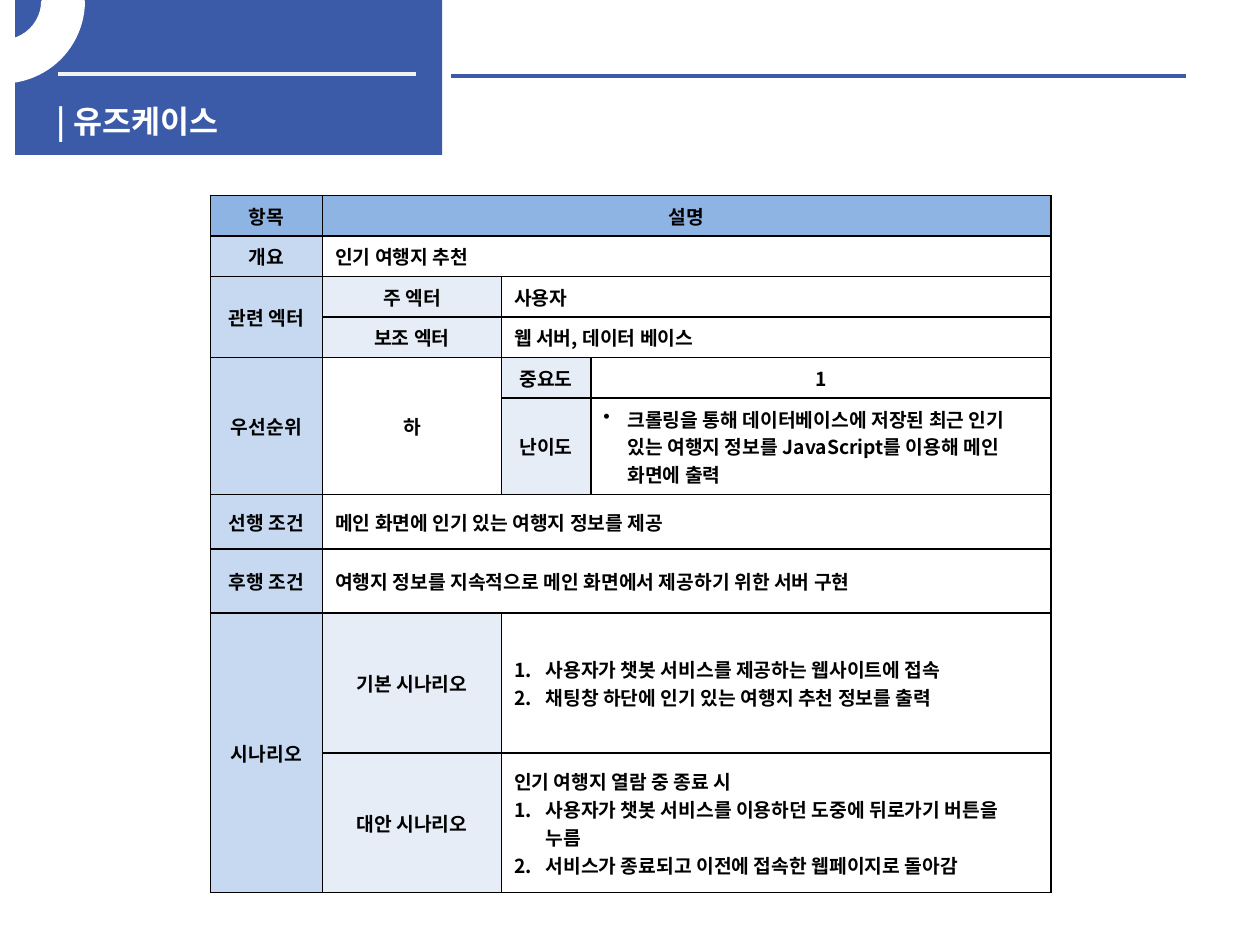
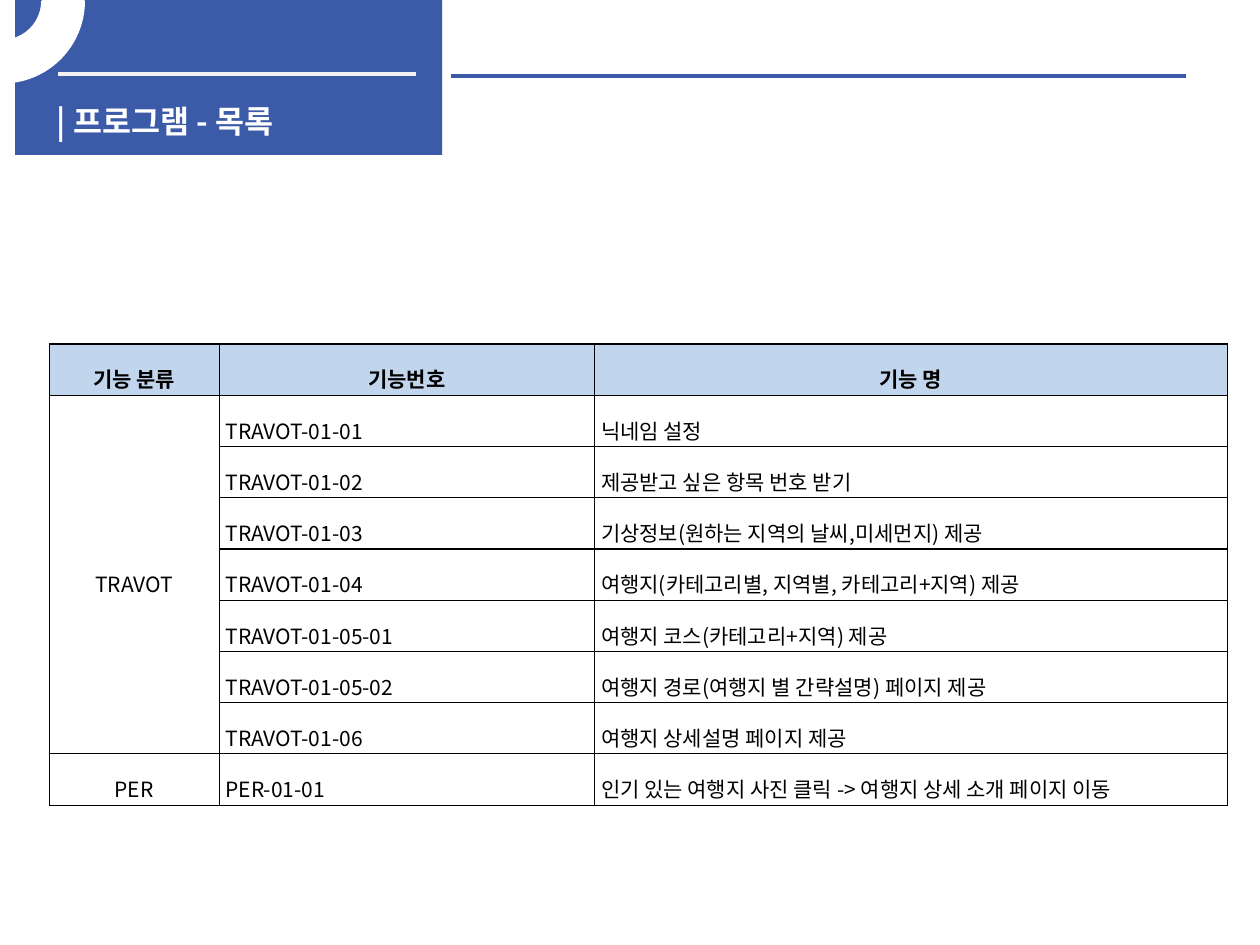
from lxml.etree import SubElement
from pptx import Presentation
from pptx.dml.color import RGBColor
from pptx.enum.shapes import MSO_CONNECTOR, MSO_SHAPE
from pptx.enum.text import MSO_ANCHOR, MSO_AUTO_SIZE, PP_ALIGN
from pptx.oxml.ns import qn
from pptx.util import Inches, Pt

# Content: each cell is (row, column, rows spanned, columns spanned, style, lines);
# a line is a string, or a pair of list mark and string
USE_CASE_TITLE = "| 유즈케이스"
USE_CASE_CELLS = [
    (0, 0, 1, 1, "head", ["항목"]),
    (0, 1, 1, 3, "head", ["설명"]),
    (1, 0, 1, 1, "label", ["개요"]),
    (1, 1, 1, 3, "text", ["인기 여행지 추천"]),
    (2, 0, 2, 1, "label", ["관련 엑터"]),
    (2, 1, 1, 1, "sublabel", ["주 엑터"]),
    (2, 2, 1, 2, "text", ["사용자"]),
    (3, 1, 1, 1, "sublabel", ["보조 엑터"]),
    (3, 2, 1, 2, "text", ["웹 서버, 데이터 베이스"]),
    (4, 0, 2, 1, "label", ["우선순위"]),
    (4, 1, 2, 1, "value", ["하"]),
    (4, 2, 1, 1, "sublabel", ["중요도"]),
    (4, 3, 1, 1, "value", ["1"]),
    (5, 2, 1, 1, "sublabel", ["난이도"]),
    (5, 3, 1, 1, "text", [
        ("bullet", "크롤링을 통해 데이터베이스에 저장된 최근 인기 있는 여행지 정보를 "
                   "JavaScript를 이용해 메인 화면에 출력")]),
    (6, 0, 1, 1, "label", ["선행 조건"]),
    (6, 1, 1, 3, "text", ["메인 화면에 인기 있는 여행지 정보를 제공"]),
    (7, 0, 1, 1, "label", ["후행 조건"]),
    (7, 1, 1, 3, "text", ["여행지 정보를 지속적으로 메인 화면에서 제공하기 위한 서버 구현"]),
    (8, 0, 2, 1, "label", ["시나리오"]),
    (8, 1, 1, 1, "sublabel", ["기본 시나리오"]),
    (8, 2, 1, 2, "text", [
        ("number", "사용자가 챗봇 서비스를 제공하는 웹사이트에 접속"),
        ("number", "채팅창 하단에 인기 있는 여행지 추천 정보를 출력")]),
    (9, 1, 1, 1, "sublabel", ["대안 시나리오"]),
    (9, 2, 1, 2, "text", [
        "인기 여행지 열람 중 종료 시",
        ("number", "사용자가 챗봇 서비스를 이용하던 도중에 뒤로가기 버튼을 누름"),
        ("number", "서비스가 종료되고 이전에 접속한 웹페이지로 돌아감")]),
]

PROGRAM_TITLE = "| 프로그램 - 목록"
PROGRAM_HEADINGS = ["기능 분류", "기능번호", "기능 명"]
PROGRAM_GROUPS = [
    ("TRAVOT", [
        ("TRAVOT-01-01", "닉네임 설정"),
        ("TRAVOT-01-02", "제공받고 싶은 항목 번호 받기"),
        ("TRAVOT-01-03", "기상정보(원하는 지역의 날씨,미세먼지) 제공"),
        ("TRAVOT-01-04", "여행지(카테고리별, 지역별, 카테고리+지역) 제공"),
        ("TRAVOT-01-05-01", "여행지 코스(카테고리+지역) 제공"),
        ("TRAVOT-01-05-02", "여행지 경로(여행지 별 간략설명) 페이지 제공"),
        ("TRAVOT-01-06", "여행지 상세설명 페이지 제공"),
    ]),
    ("PER", [("PER-01-01", "인기 있는 여행지 사진 클릭 -> 여행지 상세 소개 페이지 이동")]),
]

# Shared look
FONT = "Noto Sans CJK KR"
COLORS = {"band": "3B5AA8", "rule": "F2F2F2", "white": "FFFFFF", "ink": "000000",
          "head": "8EB4E3", "label": "C6D9F1", "sublabel": "E6EDF6", "listing": "C1D6ED"}
# Cell style: fill, alignment, bold
STYLES = {
    "head": ("head", PP_ALIGN.CENTER, True),
    "label": ("label", PP_ALIGN.CENTER, True),
    "sublabel": ("sublabel", PP_ALIGN.CENTER, True),
    "value": (None, PP_ALIGN.CENTER, True),
    "text": (None, PP_ALIGN.LEFT, True),
    "heading": ("listing", PP_ALIGN.CENTER, True),
    "group": (None, PP_ALIGN.CENTER, False),
    "entry": (None, PP_ALIGN.JUSTIFY, False),
}
# List mark: hanging indent, bullet element, its attributes
MARKS = {
    "bullet": (0.19, "a:buChar", {"char": "•"}),
    "number": (0.25, "a:buAutoNum", {"type": "arabicPeriod"}),
}


def color(name):
    return RGBColor.from_string(COLORS[name])


def format_runs(para, size, ink, bold):
    for span in para.runs:
        span.font.size, span.font.bold, span.font.name = Pt(size), bold, FONT
        span.font.color.rgb = color(ink)
        SubElement(span.font._element, qn("a:ea"), typeface=FONT)


def add_block(slide, kind, place, fill):
    block = slide.shapes.add_shape(kind, *map(Inches, place))
    block.shadow.inherit = False
    block.fill.solid()
    block.fill.fore_color.rgb = color(fill)
    block.line.fill.background()
    return block


def add_rule(slide, left, right, top, ink):
    rule = slide.shapes.add_connector(
        MSO_CONNECTOR.STRAIGHT, *map(Inches, (left, top, right, top)))
    rule.line.color.rgb = color(ink)
    rule.line.width = Pt(2.25)
    SubElement(rule.element.spPr, qn("a:effectLst"))


def add_page(deck, heading):
    page = deck.slides.add_slide(deck.slide_layouts[5])
    # Title band with rules
    add_block(page, MSO_SHAPE.RECTANGLE, (0.12, 0, 3.39, 1.23), "band")
    add_rule(page, 0.46, 3.3, 0.59, "rule")
    add_rule(page, 3.58, 9.41, 0.6, "band")
    # Title, brought in front of the band
    title = page.shapes.title
    page.shapes.element.append(title.element)
    title.left, title.top, title.width, title.height = map(Inches, (0.35, 0.76, 3.23, 0.3))
    frame = title.text_frame
    frame.text = heading
    frame.word_wrap = True
    frame.auto_size = MSO_AUTO_SIZE.NONE
    frame.vertical_anchor = MSO_ANCHOR.TOP
    frame.paragraphs[0].alignment = PP_ALIGN.LEFT
    format_runs(frame.paragraphs[0], 18, "white", True)
    # Ring in the corner
    ring = add_block(page, MSO_SHAPE.BLOCK_ARC, (-0.63, -0.63, 1.29, 1.28), "white")
    for index, value in enumerate((161.59, 0, 0.25)):
        ring.adjustments[index] = value
    ring.element.spPr.xfrm.set("flipV", "1")
    ring.line.color.rgb = color("white")
    ring.line.width = Pt(2)
    return page


def add_borders(cell, width):
    properties = cell._tc.get_or_add_tcPr()
    for side in ("a:lnL", "a:lnR", "a:lnT", "a:lnB"):
        line = SubElement(properties, qn(side), w=str(Pt(width)))
        fill = SubElement(line, qn("a:solidFill"))
        SubElement(fill, qn("a:srgbClr"), val=COLORS["ink"])


def add_mark(para, mark):
    indent, tag, attributes = MARKS[mark]
    properties = para._p.get_or_add_pPr()
    properties.set("marL", str(Inches(indent)))
    properties.set("indent", str(-Inches(indent)))
    SubElement(properties, qn(tag), attributes)


def fill_cell(cell, style, lines, size, spacing):
    fill, alignment, bold = STYLES[style]
    if fill:
        cell.fill.solid()
        cell.fill.fore_color.rgb = color(fill)
    cell.vertical_anchor = MSO_ANCHOR.MIDDLE
    for index, line in enumerate(lines):
        mark, text = (None, line) if isinstance(line, str) else line
        frame = cell.text_frame
        para = frame.add_paragraph() if index else frame.paragraphs[0]
        para.text = text
        para.alignment = alignment
        if spacing:
            para.line_spacing = spacing
        if mark:
            add_mark(para, mark)
        format_runs(para, size, "ink", bold)


def add_grid(page, left, top, widths, heights, cells, size, border,
             spacing=None, margins=(0.1, 0.05)):
    frame = page.shapes.add_table(
        len(heights), len(widths),
        *map(Inches, (left, top, sum(widths), sum(heights))))
    table = frame.table
    table.first_row = table.horz_banding = False
    for column, width in zip(table.columns, widths):
        column.width = Inches(width)
    for row, height in zip(table.rows, heights):
        row.height = Inches(height)
    for cell in table.iter_cells():
        add_borders(cell, border)
        cell.fill.background()
        cell.margin_left = cell.margin_right = Inches(margins[0])
        cell.margin_top = cell.margin_bottom = Inches(margins[1])
    for row, column, tall, wide, style, lines in cells:
        cell = table.cell(row, column)
        if tall * wide > 1:
            cell.merge(table.cell(row + tall - 1, column + wide - 1))
        fill_cell(cell, style, lines, size, spacing)


def program_cells():
    cells = [(0, column, 1, 1, "heading", [text])
             for column, text in enumerate(PROGRAM_HEADINGS)]
    row = 1
    for group, entries in PROGRAM_GROUPS:
        cells.append((row, 0, len(entries), 1, "group", [group]))
        for entry in entries:
            cells += [(row, column, 1, 1, "entry", [text])
                      for column, text in enumerate(entry, 1)]
            row += 1
    return cells, row


def main():
    deck = Presentation()
    deck.slide_width, deck.slide_height = Inches(10), Inches(7.5)

    # Use case
    page = add_page(deck, USE_CASE_TITLE)
    heights = [0.28] + [0.29] * 4 + [0.43] * 2 + [0.51] + [1.11] * 2
    add_grid(page, 1.67, 1.55, [0.89, 1.42, 0.71, 3.65], heights,
             USE_CASE_CELLS, size=11, border=1)

    # Program list
    page = add_page(deck, PROGRAM_TITLE)
    cells, row_count = program_cells()
    add_grid(page, 0.39, 2.73, [1.35, 2.98, 5.02], [0.33] * row_count, cells,
             size=12, border=0.75, spacing=1.6, margins=(0.05, 0.01))

    deck.save("out.pptx")


if __name__ == "__main__":
    main()
